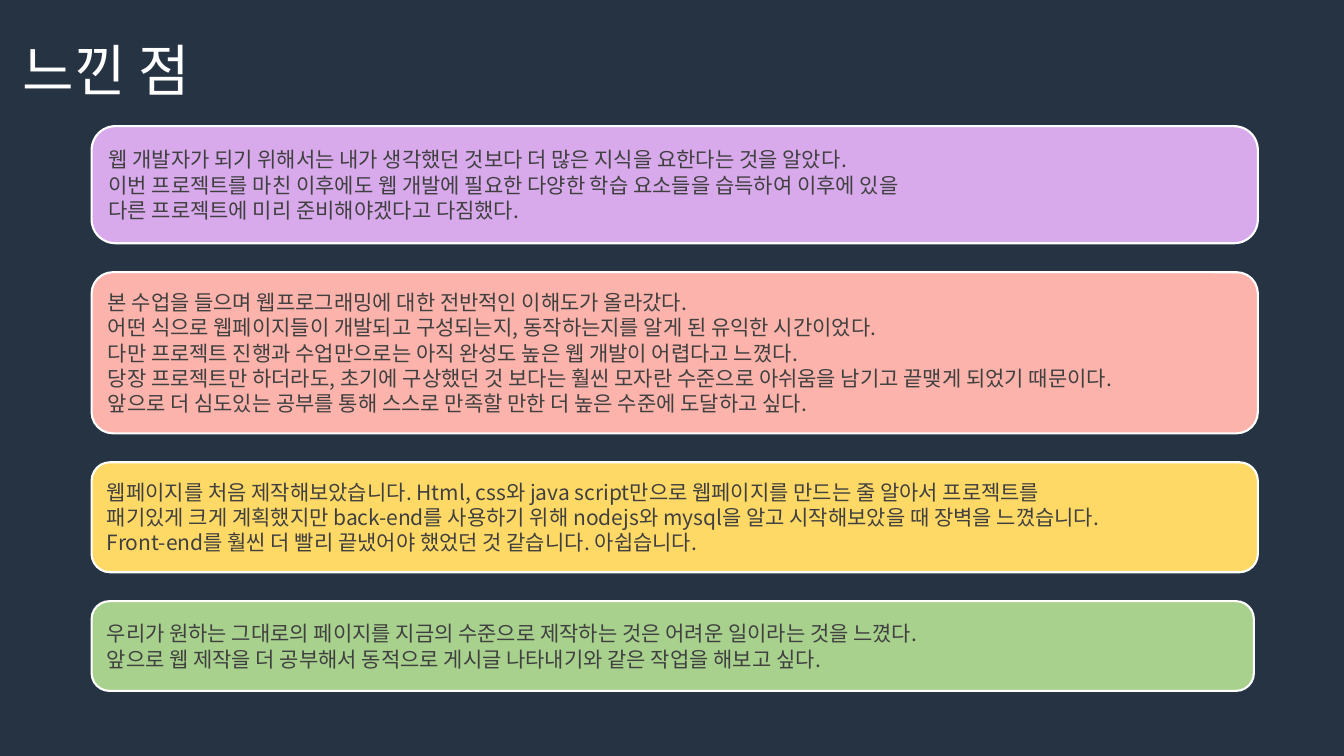
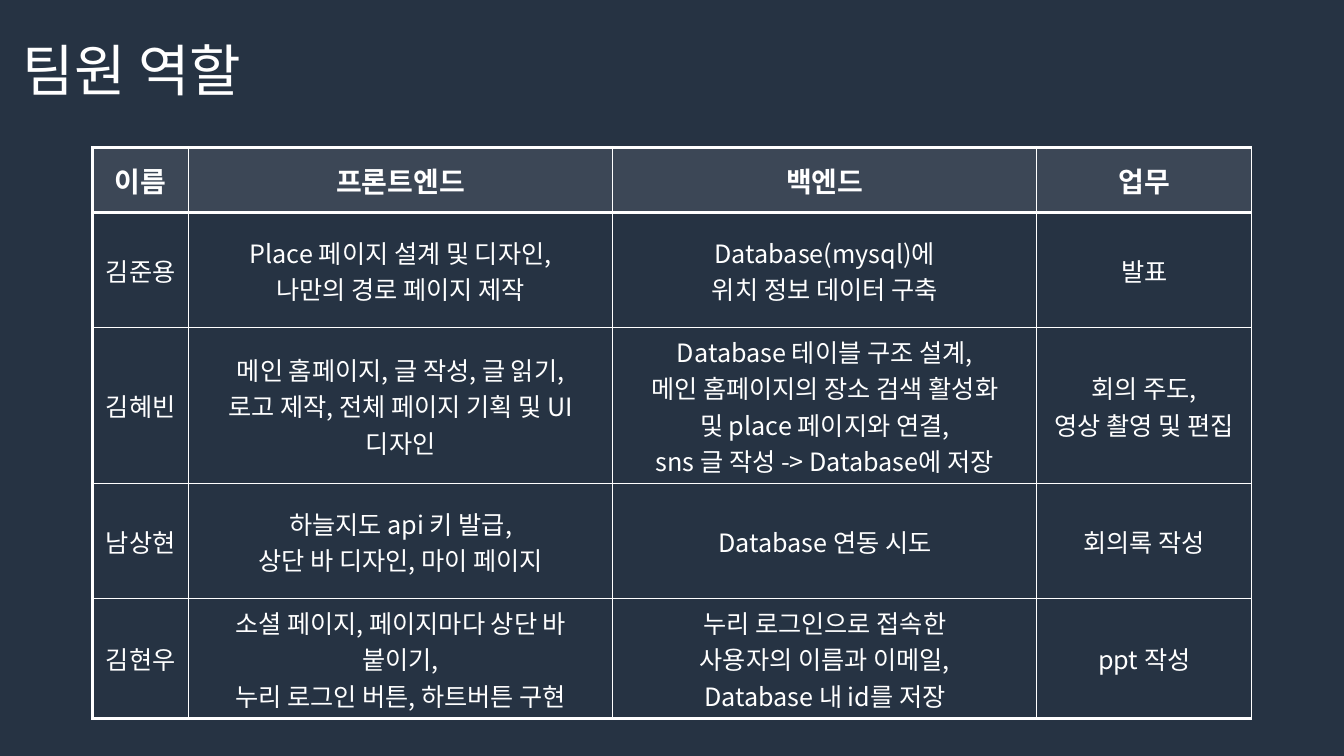
from lxml import etree
from pptx import Presentation
from pptx.dml.color import RGBColor
from pptx.enum.shapes import MSO_SHAPE
from pptx.enum.text import MSO_ANCHOR, PP_ALIGN
from pptx.oxml.ns import qn
from pptx.util import Cm, Pt

ROUNDED = MSO_SHAPE.ROUNDED_RECTANGLE
MIDDLE = MSO_ANCHOR.MIDDLE
LEFT = PP_ALIGN.LEFT
CENTER = PP_ALIGN.CENTER

FONT = "Noto Sans CJK KR"
NAVY = "263343"
WHITE = "FFFFFF"
INK = "404040"
THIN, THICK = 1, 2.25
TITLE_ONLY = 5


def rgb(code):
    return RGBColor.from_string(code)


class Deck:
    def __init__(self):
        self.prs = Presentation()
        self.prs.slide_width, self.prs.slide_height = Cm(33.87), Cm(19.05)
        backdrop = self.prs.slide_master.background.fill
        backdrop.solid()
        backdrop.fore_color.rgb = rgb(NAVY)
        self.slide = None

    def style(self, paragraph, size, color, align=LEFT, bold=False):
        paragraph.alignment = align
        font = paragraph.font
        font.size, font.bold, font.name = Pt(size), bold, FONT
        font.color.rgb = rgb(color)
        defaults = paragraph._p.pPr.find(qn("a:defRPr"))
        etree.SubElement(defaults, qn("a:ea"), typeface=FONT)

    def paint(self, fill, color, opacity=100):
        fill.solid()
        fill.fore_color.rgb = rgb(color)
        if opacity < 100:
            tint = fill._xPr.find(qn("a:solidFill"))[0]
            etree.SubElement(tint, qn("a:alpha"), val=str(opacity * 1000))

    def add_slide(self, heading):
        self.slide = self.prs.slides.add_slide(self.prs.slide_layouts[TITLE_ONLY])
        title = self.slide.shapes.title
        title.left, title.top, title.width, title.height = Cm(0), Cm(0), Cm(11.89), Cm(3.68)
        frame = title.text_frame
        frame.text = heading
        frame.vertical_anchor = MIDDLE
        frame.margin_left = Cm(0.57)
        frame.paragraphs[0].line_spacing = 0.9
        self.style(frame.paragraphs[0], 40, WHITE)

    def add_note(self, top, height, color, corner, lines, opacity=100, width=29.39):
        note = self.slide.shapes.add_shape(ROUNDED, Cm(2.31), Cm(top), Cm(width), Cm(height))
        note.shadow.inherit = False
        note.adjustments[0] = corner
        self.paint(note.fill, color, opacity)
        note.line.color.rgb = rgb(WHITE)
        note.line.width = Pt(1.5)
        frame = note.text_frame
        frame.word_wrap = True
        frame.vertical_anchor = MIDDLE
        frame.text = "\n".join(lines)
        for paragraph in frame.paragraphs:
            self.style(paragraph, 15, INK)

    def add_borders(self, cell, widths):
        properties = cell._tc.get_or_add_tcPr()
        for side, width in zip("LRTB", widths):
            edge = etree.SubElement(properties, qn(f"a:ln{side}"), w=str(Pt(width)))
            paint = etree.SubElement(edge, qn("a:solidFill"))
            etree.SubElement(paint, qn("a:srgbClr"), val=WHITE)

    def add_table(self, left, top, columns, heights, rows):
        table = self.slide.shapes.add_table(
            len(rows), len(columns), Cm(left), Cm(top), Cm(sum(columns)), Cm(sum(heights))
        ).table
        table.first_row = table.horz_banding = False
        for column, width in zip(table.columns, columns):
            column.width = Cm(width)
        last = len(rows) - 1
        for r, (height, texts) in enumerate(zip(heights, rows)):
            table.rows[r].height = Cm(height)
            header = r == 0
            upper = THICK if r < 2 else THIN
            lower = THICK if r in (0, last) else THIN
            for c, text in enumerate(texts):
                cell = table.cell(r, c)
                self.add_borders(cell, (THIN if c else THICK, THIN, upper, lower))
                if header:
                    self.paint(cell.fill, WHITE, 10)
                else:
                    cell.fill.background()
                cell.vertical_anchor = MIDDLE
                paragraph = cell.text_frame.paragraphs[0]
                paragraph.text = text
                self.style(paragraph, 20 if header else 18, WHITE, CENTER, header)


REFLECTIONS = [
    (2.95, "ECB7FF", 0.203, [
        "웹 개발자가 되기 위해서는 내가 생각했던 것보다 더 많은 지식을 요한다는 것을 알았다.",
        "이번 프로젝트를 마친 이후에도 웹 개발에 필요한 다양한 학습 요소들을 습득하여 이후에 있을",
        "다른 프로젝트에 미리 준비해야겠다고 다짐했다.",
    ], {"opacity": 90}),
    (4.06, "FBB3AB", 0.132, [
        "본 수업을 들으며 웹프로그래밍에 대한 전반적인 이해도가 올라갔다.",
        "어떤 식으로 웹페이지들이 개발되고 구성되는지, 동작하는지를 알게 된 유익한 시간이었다.",
        "다만 프로젝트 진행과 수업만으로는 아직 완성도 높은 웹 개발이 어렵다고 느꼈다.",
        "당장 프로젝트만 하더라도, 초기에 구상했던 것 보다는 훨씬 모자란 수준으로 아쉬움을 남기고 끝맺게 되었기 때문이다.",
        "앞으로 더 심도있는 공부를 통해 스스로 만족할 만한 더 높은 수준에 도달하고 싶다.",
    ], {}),
    (2.77, "FFD966", 0.167, [
        "웹페이지를 처음 제작해보았습니다. Html, css와 java script만으로 웹페이지를 만드는 줄 알아서 프로젝트를",
        "패기있게 크게 계획했지만 back-end를 사용하기 위해 nodejs와 mysql을 알고 시작해보았을 때 장벽을 느꼈습니다.",
        "Front-end를 훨씬 더 빨리 끝냈어야 했었던 것 같습니다. 아쉽습니다.",
    ], {}),
    (2.26, "A9D18E", 0.198, [
        "우리가 원하는 그대로의 페이지를 지금의 수준으로 제작하는 것은 어려운 일이라는 것을 느꼈다.",
        "앞으로 웹 제작을 더 공부해서 동적으로 게시글 나타내기와 같은 작업을 해보고 싶다.",
    ], {"width": 29.29}),
]

ROLES = [
    ("이름", "프론트엔드", "백엔드", "업무"),
    ("김준용", "Place 페이지 설계 및 디자인,\n나만의 경로 페이지 제작",
     "Database(mysql)에\n위치 정보 데이터 구축", "발표"),
    ("김혜빈", "메인 홈페이지, 글 작성, 글 읽기,\n로고 제작, 전체 페이지 기획 및 UI 디자인",
     "Database 테이블 구조 설계,\n메인 홈페이지의 장소 검색 활성화\n및 place 페이지와 연결,\nsns 글 작성 -> Database에 저장",
     "회의 주도,\n영상 촬영 및 편집"),
    ("남상현", "하늘지도 api 키 발급,\n상단 바 디자인, 마이 페이지",
     "Database 연동 시도", "회의록 작성"),
    ("김현우", "소셜 페이지, 페이지마다 상단 바 붙이기,\n누리 로그인 버튼, 하트버튼 구현",
     "누리 로그인으로 접속한\n사용자의 이름과 이메일,\nDatabase 내 id를 저장", "ppt 작성"),
]


def main():
    deck = Deck()

    deck.add_slide("느낀 점")
    top, gap = 3.18, 0.73
    for height, color, corner, lines, options in REFLECTIONS:
        deck.add_note(top, height, color, corner, lines, **options)
        top += height + gap

    deck.add_slide("팀원 역할")
    deck.add_table(2.34, 3.71, [2.41, 10.69, 10.69, 5.41], [1.65] + [2.9] * 4, ROLES)

    deck.prs.save("out.pptx")


if __name__ == "__main__":
    main()
